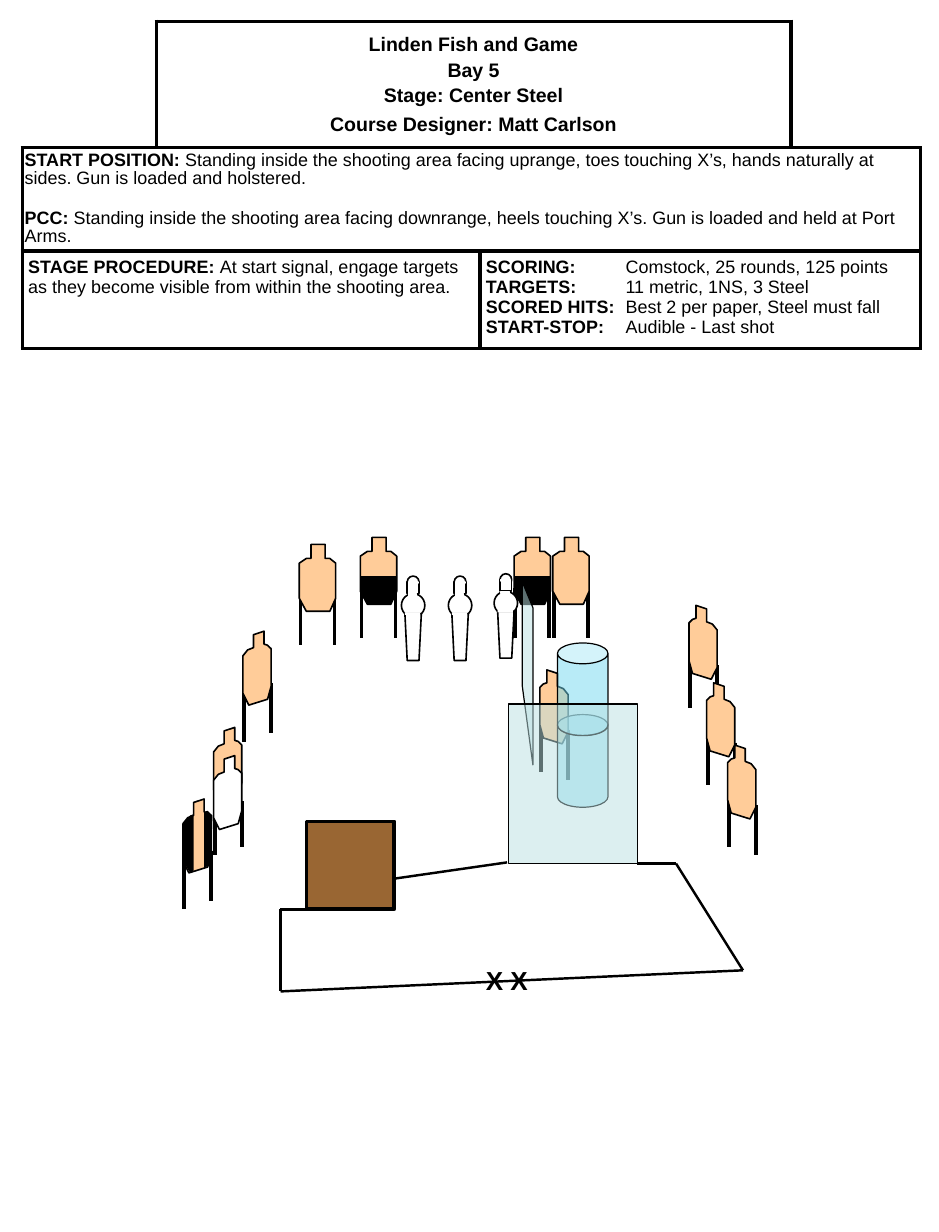
import pptx
import pptx.dml.color
import pptx.enum.shapes
import pptx.enum.text
import pptx.oxml.ns
import pptx.util
import lxml.etree

Inches = pptx.util.Inches
Pt = pptx.util.Pt
SHAPES = pptx.enum.shapes.MSO_SHAPE
COLORS = {"black": "000000", "white": "FFFFFF", "cardboard": "FFCC99",
          "wood": "996633", "barrel": "73D9F1", "glass": "BBE0E3"}

FRONT_OUTLINE = [(.1, 0), (.22, 0), (.22, .12), (.26, .12), (.31, .16), (.31, .46), (.26, .57),
                 (.06, .57), (0, .46), (0, .16), (.06, .12), (.1, .12)]
FRONT_LEGS = [(.01, .43, .86), (.3, .43, .86)]
FRONT_PAINT = [(0, .33), (.31, .33), (.31, .46), (.26, .57), (.06, .57), (0, .46)]
ANGLED_OUTLINE = [(.15, .03), (.06, 0), (.06, .11), (.03, .12), (0, .15), (0, .47), (.03, .58),
                  (.19, .63), (.24, .53), (.24, .21), (.2, .16), (.15, .14)]
ANGLED_LEGS = [(.01, .44, .87), (.24, .51, .94)]
ANGLED_WIDTH = .24
SIDE_PAINT = [[(0, .53), (.06, .63), (.09, .61), (.09, .13), (.06, .14), (0, .21)],
              [(.18, .11), (.21, .1), (.25, .14), (.24, .46), (.21, .57), (.18, .59)]]


def tag(name):
    return pptx.oxml.ns.qn("a:" + name)


def color(name):
    return pptx.dml.color.RGBColor.from_string(COLORS[name])


class StageSlide:
    font_name = "Arial"
    border_width = 2.25

    def __init__(self, slide):
        self.slide = slide

    def format_shape(self, shape, fill, line, width, alpha=None):
        shape.shadow.inherit = False
        shape.fill.solid()
        shape.fill.fore_color.rgb = color(fill)
        if alpha:
            rgb = shape.fill._xPr.find(tag("solidFill")).find(tag("srgbClr"))
            lxml.etree.SubElement(rgb, tag("alpha")).set("val", str(alpha * 1000))
        if line:
            shape.line.color.rgb = color(line)
            shape.line.width = Pt(width)
        else:
            shape.line.fill.background()

    def preset(self, kind, box, fill, line="black", width=1, alpha=None, parent=None):
        shapes = (parent or self.slide).shapes
        shape = shapes.add_shape(kind, *[Inches(value) for value in box])
        self.format_shape(shape, fill, line, width, alpha)
        return shape

    def outline(self, points, origin, fill, line="black", width=1, alpha=None, parent=None):
        left, top = origin
        places = [(Inches(left + x), Inches(top + y)) for x, y in points]
        builder = (parent or self.slide).shapes.build_freeform(*places[0])
        builder.add_line_segments(places[1:], close=True)
        shape = builder.convert_to_shape()
        self.format_shape(shape, fill, line, width, alpha)

    def line(self, start, end, width=1.5, parent=None):
        connector = (parent or self.slide).shapes.add_connector(
            pptx.enum.shapes.MSO_CONNECTOR.STRAIGHT, *[Inches(value) for value in (*start, *end)])
        connector.line.color.rgb = color("black")
        connector.line.width = Pt(width)
        lxml.etree.SubElement(connector._element.spPr, tag("effectLst"))

    def legs(self, legs, origin, parent):
        left, top = origin
        for x, start, end in legs:
            self.line((left + x, top + start), (left + x, top + end), self.border_width, parent)

    def front_target(self, left, top, painted=False):
        group = self.slide.shapes.add_group_shape()
        self.legs(FRONT_LEGS, (left, top), group)
        self.outline(FRONT_OUTLINE, (left, top), "cardboard", parent=group)
        if painted:
            self.outline(FRONT_PAINT, (left, top), "black", None, parent=group)

    def angled_target(self, left, top, mirrored=False, painted=False, no_shoot=False):
        group = self.slide.shapes.add_group_shape()
        points, legs = ANGLED_OUTLINE, ANGLED_LEGS
        if mirrored:
            points = [(ANGLED_WIDTH - x, y) for x, y in points]
            legs = [(ANGLED_WIDTH - x + .01, start, end) for x, start, end in legs]
        if no_shoot:
            legs = [(x, start + .19, end + .15) for x, start, end in legs]
        self.legs(legs, (left, top), group)
        self.outline(points, (left, top), "cardboard", parent=group)
        if painted:
            for patch in SIDE_PAINT:
                self.outline(patch, (left, top), "black", None, parent=group)
        if no_shoot:
            self.outline(points, (left, top + .24), "white", parent=group)

    def steel_popper(self, left, top):
        group = self.slide.shapes.add_group_shape()
        stem = [(.03, .32), (.17, .32), (.15, .72), (.05, .72)]

        def part(kind, x, y, width, height, line="black"):
            self.preset(kind, (left + x, top + y, width, height), "white", line, parent=group)

        part(SHAPES.OVAL, .05, 0, .1, .1)
        part(SHAPES.OVAL, 0, .15, .2, .2)
        self.outline(stem, (left, top), "white", parent=group)
        part(SHAPES.RECTANGLE, .05, .05, .1, .1)
        part(SHAPES.RECTANGLE, .03, .31, .13, .02, None)
        part(SHAPES.RECTANGLE, .06, .15, .07, .02, "white")
        part(SHAPES.RECTANGLE, .06, .05, .08, .01, "white")

    def run(self, paragraph, text, size, bold):
        run = paragraph.add_run()
        run.text = text
        run.font.name = self.font_name
        run.font.size = Pt(size)
        run.font.bold = bold
        run.font.color.rgb = color("black")

    def paragraphs(self, frame, items, size=11, gaps=(), spacing=None, align=None, tab=None):
        for index, runs in enumerate(items):
            paragraph = frame.paragraphs[0] if index == 0 else frame.add_paragraph()
            if index and gaps:
                paragraph.space_before = Pt(gaps[index - 1])
            if spacing:
                paragraph.line_spacing = spacing
            if align:
                paragraph.alignment = align
            if tab:
                stops = lxml.etree.SubElement(paragraph._p.get_or_add_pPr(), tag("tabLst"))
                lxml.etree.SubElement(stops, tag("tab"), pos=str(Inches(tab)), algn="l")
            for text, bold in runs:
                self.run(paragraph, text, size, bold)

    def cell_style(self, cell, sides, margins):
        cell.margin_left = cell.margin_right = Inches(margins[0])
        cell.margin_top = cell.margin_bottom = Inches(margins[1])
        cell.fill.solid()
        cell.fill.fore_color.rgb = color("white")
        properties = cell._tc.get_or_add_tcPr()
        for index, side in enumerate("LRTB"):
            border = lxml.etree.Element(tag("ln" + side), w=str(Pt(self.border_width)))
            if side in sides:
                fill = lxml.etree.SubElement(border, tag("solidFill"))
                lxml.etree.SubElement(fill, tag("srgbClr"), val=COLORS["black"])
            else:
                lxml.etree.SubElement(border, tag("noFill"))
            properties.insert(index, border)

    def briefing_table(self, left, top, columns, rows):
        table = self.slide.shapes.add_table(
            len(rows), len(columns), Inches(left), Inches(top),
            Inches(sum(columns)), Inches(sum(rows))).table
        table.first_row = table.horz_banding = False
        for column, width in zip(table.columns, columns):
            column.width = Inches(width)
        for row, height in zip(table.rows, rows):
            row.height = Inches(height)
        open_sides = {(0, 0): "RB", (0, 3): "LB"}
        for row in range(len(rows)):
            for column in range(len(columns)):
                margins = (.02, .04) if row == 1 else (.05, .05)
                self.cell_style(table.cell(row, column), open_sides.get((row, column), "LRTB"), margins)
        for first, last in [((0, 1), (0, 2)), ((1, 0), (1, 3)), ((2, 0), (2, 1)), ((2, 2), (2, 3))]:
            table.cell(*first).merge(table.cell(*last))
        return table

    def start_marks(self, text, box):
        frame = self.slide.shapes.add_textbox(*[Inches(value) for value in box]).text_frame
        frame.word_wrap = False
        self.run(frame.paragraphs[0], text, 16, True)


def main():
    presentation = pptx.Presentation()
    presentation.slide_width, presentation.slide_height = Inches(8), Inches(10.5)
    stage = StageSlide(presentation.slides.add_slide(presentation.slide_layouts[6]))

    stage.angled_target(5.87, 5.16)
    stage.angled_target(6.02, 5.82)
    stage.angled_target(2.07, 5.38, mirrored=True)
    stage.angled_target(4.6, 5.71)
    for top in (6.09, 5.48):
        barrel = stage.preset(SHAPES.CAN, (4.75, top, .43, .79), "barrel", width=.75, alpha=50)
        barrel.adjustments[0] = .413
    for left in (3.07, 4.38):
        stage.front_target(left, 4.58, painted=True)

    stage.line((2.39, 7.75), (2.39, 8.45))
    stage.line((2.39, 8.45), (6.33, 8.27))
    stage.line((2.39, 7.75), (2.63, 7.75))
    stage.preset(SHAPES.RECTANGLE, (2.61, 7, .75, .75), "wood", width=2.25)
    stage.line((6.33, 8.27), (5.76, 7.36))
    stage.line((3.35, 7.49), (4.32, 7.35))

    table = stage.briefing_table(.19, .18, [1.14, 2.76, 2.65, 1.1], [1.08, .88, .83])
    heading = table.cell(0, 1)
    heading.vertical_anchor = pptx.enum.text.MSO_ANCHOR.MIDDLE
    titles = ["Linden Fish and Game", "Bay 5", "Stage: Center Steel", "Course Designer: Matt Carlson"]
    stage.paragraphs(heading.text_frame, [[(title, True)] for title in titles], 12,
                     gaps=(2.2, 2.2, 4), align=pptx.enum.text.PP_ALIGN.CENTER)
    stage.paragraphs(table.cell(1, 0).text_frame, [
        [("START POSITION:", True), (" Standing inside the shooting area facing uprange, toes touching X’s, "
                                     "hands naturally at sides. Gun is loaded and holstered.", False)],
        [("PCC:", True), (" Standing inside the shooting area facing downrange, heels touching X’s. "
                          "Gun is loaded and held at Port Arms.", False)]], gaps=(13.5,), spacing=.9)
    stage.paragraphs(table.cell(2, 0).text_frame, [
        [("STAGE PROCEDURE: ", True), ("At start signal, engage targets as they become visible "
                                       "from within the shooting area.", False)]])
    scoring = [("SCORING:", "Comstock, 25 rounds, 125 points"), ("TARGETS:", "11 metric, 1NS, 3 Steel"),
               ("SCORED HITS:", "Best 2 per paper, Steel must fall"), ("START-STOP:", "Audible - Last shot")]
    stage.paragraphs(table.cell(2, 2).text_frame,
                     [[(label, True), ("\t" + value, False)] for label, value in scoring], tab=1.19)

    for left, top in [(3.42, 4.91), (3.82, 4.91), (4.21, 4.89)]:
        stage.steel_popper(left, top)
    stage.front_target(2.55, 4.64)
    stage.angled_target(1.56, 6.81, mirrored=True, painted=True)
    stage.angled_target(1.82, 6.2, mirrored=True, no_shoot=True)
    stage.outline([(0, .89), (.09, 1.56), (.09, .22), (0, 0)], (4.45, 4.96), "glass", width=.75, alpha=50)
    stage.preset(SHAPES.RECTANGLE, (4.33, 6, 1.1, 1.36), "glass", width=.75, alpha=50)
    stage.angled_target(6.2, 6.35)
    stage.line((5.43, 7.36), (5.76, 7.36))
    stage.front_target(4.71, 4.58)
    stage.start_marks("X X", (4.04, 8.17, .58, .37))
    presentation.save("out.pptx")


if __name__ == "__main__":
    main()
